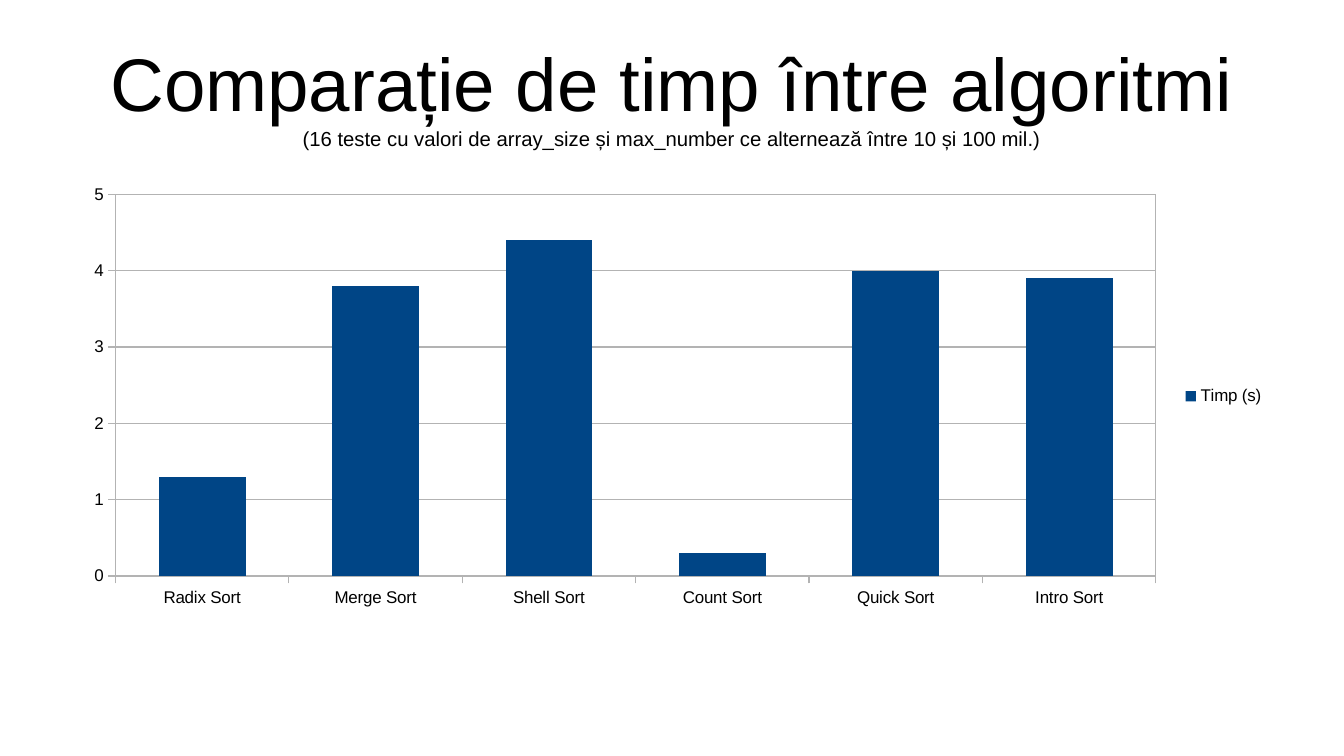
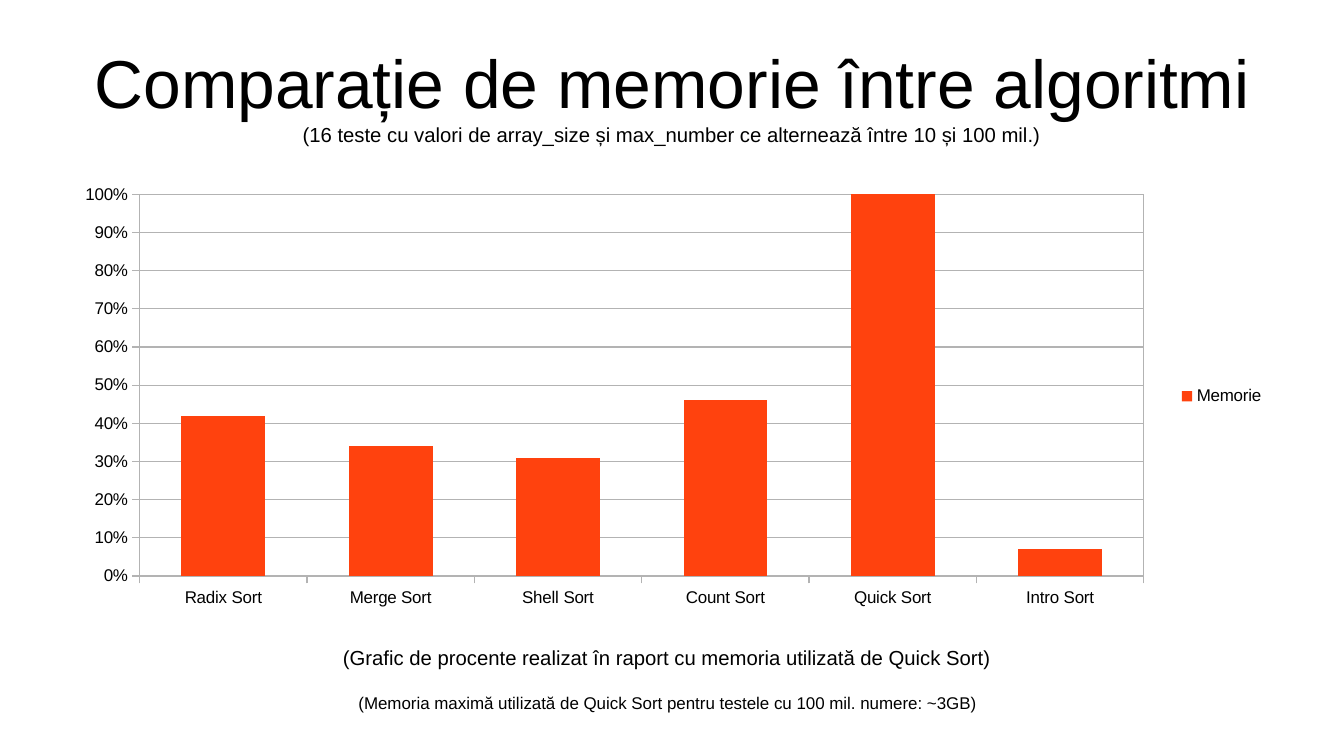
from dataclasses import dataclass

from lxml import etree
from pptx import Presentation
from pptx.chart import data
from pptx.dml import color
from pptx.enum import chart as ec, text
from pptx.util import Inches, Pt

BLACK = color.RGBColor(0x00, 0x00, 0x00)
GREY = color.RGBColor(0xB3, 0xB3, 0xB3)
BLUE = color.RGBColor(0x00, 0x45, 0x86)
RED = color.RGBColor(0xFF, 0x42, 0x0E)
FONT = "Arial"
SORTS = [f"{name} Sort" for name in ("Radix", "Merge", "Shell", "Count", "Quick", "Intro")]
TESTS = "(16 teste cu valori de array_size și max_number ce alternează între 10 și 100 mil.)"
WIDTH, HIGH = 9.92, 1.04
LEFT = 0.55
DRAW = "http://schemas.openxmlformats.org/drawingml/2006/chart"
MAIN = "http://schemas.openxmlformats.org/drawingml/2006/main"


@dataclass
class Line:
    words: str
    size: int
    gap: float = 0


@dataclass
class Plot:
    name: str
    values: tuple
    fill: color.RGBColor
    top: float
    step: float
    form: str
    left: float
    wide: float


@dataclass
class Page:
    title: Line
    plot: Plot
    notes: tuple = ()


PAGES = (
    Page(
        Line("Comparație de timp între algoritmi", 44),
        Plot("Timp (s)", (1.3, 3.8, 4.4, 0.3, 4, 3.9), BLUE, 5, 1, "General", 0.04, 0.86),
    ),
    Page(
        Line("Comparație de memorie între algoritmi", 40),
        Plot("Memorie", (0.42, 0.34, 0.31, 0.46, 1, 0.07), RED, 1, 0.1, "0%", 0.06, 0.83),
        (
            Line("(Grafic de procente realizat în raport cu memoria utilizată de Quick Sort)", 12),
            Line("(Memoria maximă utilizată de Quick Sort pentru testele cu 100 mil. numere: ~3GB)", 10, 14),
        ),
    ),
)


def apply(item, **values) -> None:
    for key, value in values.items():
        setattr(item, key, value)


def style(font, size: int) -> None:
    apply(font, name=FONT, size=Pt(size))
    font.color.rgb = BLACK


def rule(line) -> None:
    line.color.rgb = GREY
    line.width = Pt(0)


def write(slide, lines: tuple, left: float, top: float) -> None:
    box = slide.shapes.add_textbox(Inches(left), Inches(top), Inches(WIDTH), Inches(HIGH))
    frame = box.text_frame
    apply(frame, word_wrap=True, vertical_anchor=text.MSO_ANCHOR.MIDDLE,
          margin_left=0, margin_right=0, margin_top=0, margin_bottom=0)
    for spot, line in enumerate(lines):
        para = frame.add_paragraph() if spot else frame.paragraphs[0]
        apply(para, alignment=text.PP_ALIGN.CENTER, space_before=Pt(line.gap))
        run = para.add_run()
        run.text = line.words
        style(run.font, line.size)


def border(chart, plot: Plot) -> None:
    area = chart._chartSpace.chart.plotArea
    for old in area.findall(f"{{{DRAW}}}layout"):
        area.remove(old)
    sizes = {"x": plot.left, "y": 0.04, "w": plot.wide, "h": 0.87}
    marks = '<c:layoutTarget val="inner"/><c:xMode val="edge"/><c:yMode val="edge"/>'
    marks += "".join(f'<c:{key} val="{value}"/>' for key, value in sizes.items())
    area.insert(0, etree.fromstring(
        f'<c:layout xmlns:c="{DRAW}"><c:manualLayout>{marks}</c:manualLayout></c:layout>'))
    area.append(etree.fromstring(
        f'<c:spPr xmlns:c="{DRAW}" xmlns:a="{MAIN}"><a:noFill/><a:ln w="0">'
        f'<a:solidFill><a:srgbClr val="{GREY}"/></a:solidFill></a:ln></c:spPr>'))


def graph(slide, plot: Plot) -> None:
    table = data.CategoryChartData(number_format=plot.form)
    table.categories = SORTS
    table.add_series(plot.name, plot.values)
    chart = slide.shapes.add_chart(
        ec.XL_CHART_TYPE.COLUMN_CLUSTERED, Inches(LEFT), Inches(1.45),
        Inches(WIDTH), Inches(3.6), table).chart
    apply(chart, has_title=False, has_legend=True)
    style(chart.font, 10)
    apply(chart.legend, position=ec.XL_LEGEND_POSITION.RIGHT, include_in_layout=False)
    style(chart.legend.font, 10)
    bars = chart.plots[0]
    apply(bars, gap_width=100, vary_by_categories=False)
    fill = bars.series[0].format.fill
    fill.solid()
    fill.fore_color.rgb = plot.fill
    for axis in (chart.category_axis, chart.value_axis):
        apply(axis, major_tick_mark=ec.XL_TICK_MARK.OUTSIDE, minor_tick_mark=ec.XL_TICK_MARK.NONE)
        style(axis.tick_labels.font, 10)
        rule(axis.format.line)
    scale = chart.value_axis
    apply(scale, minimum_scale=0, maximum_scale=plot.top, major_unit=plot.step,
          has_major_gridlines=True)
    apply(scale.tick_labels, number_format=plot.form, number_format_is_linked=False)
    rule(scale.major_gridlines.format.line)
    border(chart, plot)


def build() -> None:
    deck = Presentation()
    apply(deck, slide_width=Inches(11.02), slide_height=Inches(6.2))
    for page in PAGES:
        slide = deck.slides.add_slide(deck.slide_layouts[6])
        write(slide, (page.title, Line(TESTS, 12)), LEFT, 0.25)
        graph(slide, page.plot)
        if page.notes:
            write(slide, page.notes, 0.51, 5.05)
    deck.save("out.pptx")


build()
